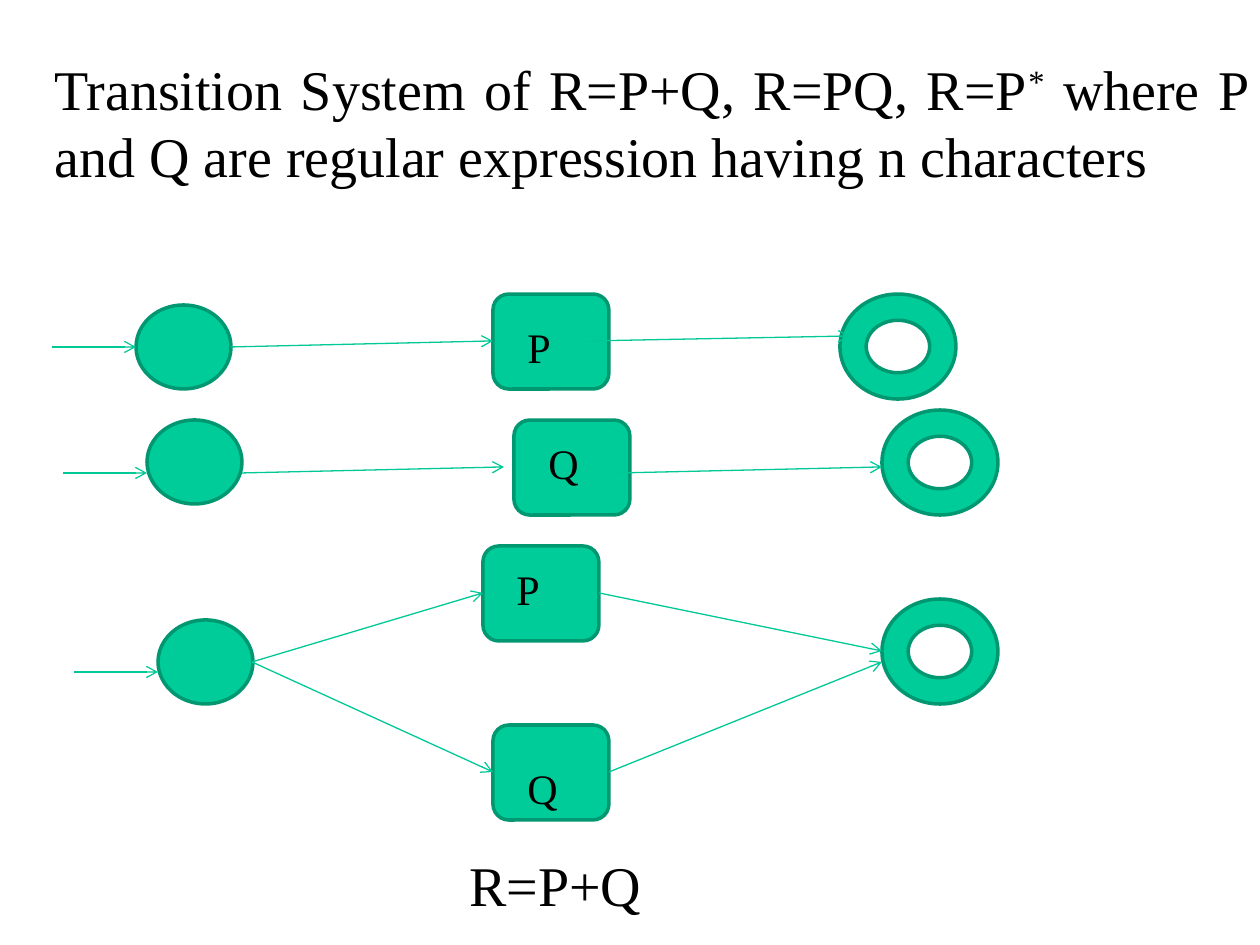
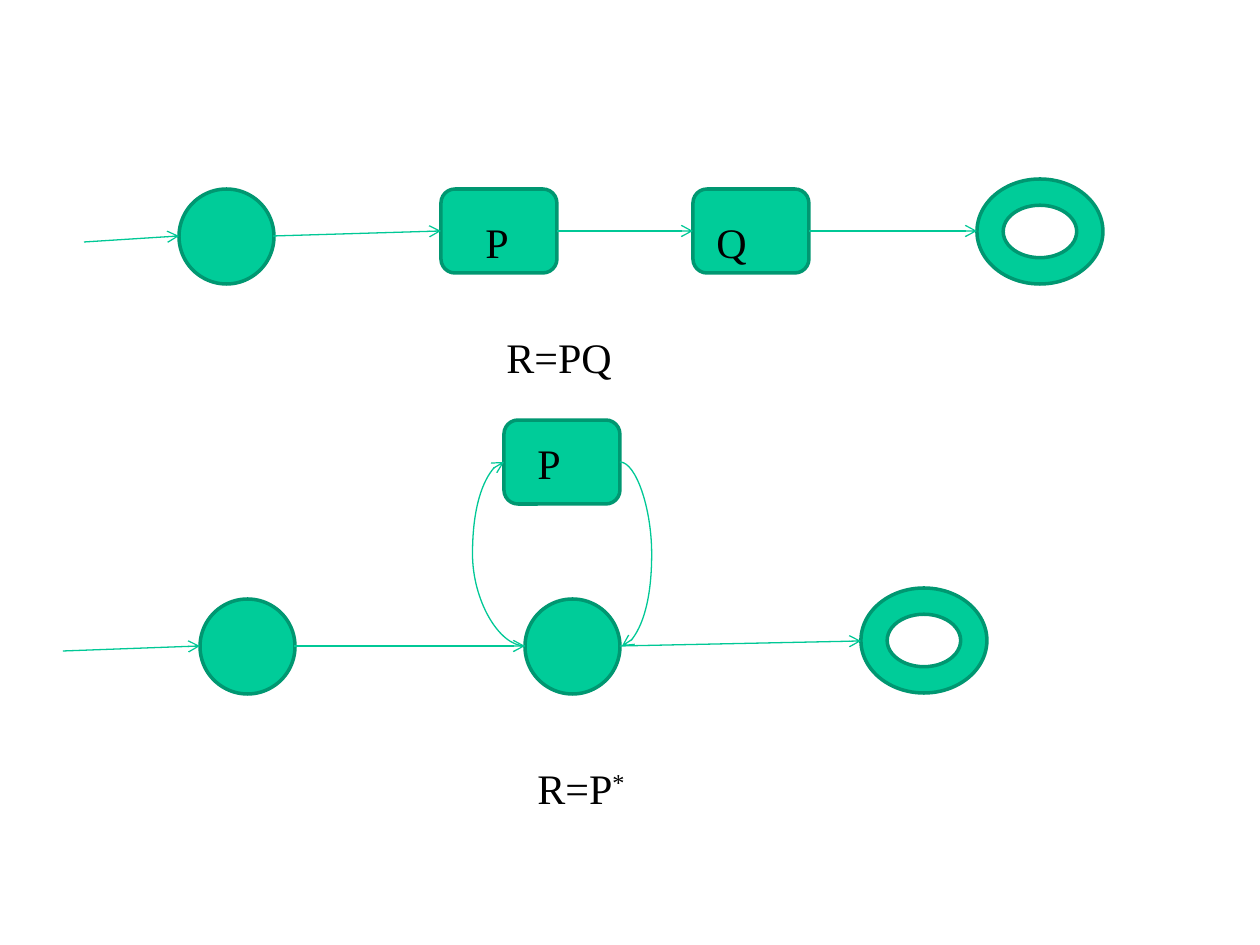
"""Builds two slides on transition systems of regular expressions."""
import pptx
import pptx.util
import pptx.dml.color
import pptx.enum.shapes
import pptx.enum.text
import pptx.oxml.ns
import lxml.etree

PX = 914400 // 126
FONT = "Times New Roman"
COLORS = {"state": "00CC99", "outline": "009771", "arrow": "00C896", "text": "000000"}
SHAPES = pptx.enum.shapes.MSO_SHAPE
CONNECTORS = pptx.enum.shapes.MSO_CONNECTOR
ANCHORS = pptx.enum.text.MSO_ANCHOR
qn = pptx.oxml.ns.qn


def add_text(slide, box, pieces, size=24, wrap=True):
    frame = slide.shapes.add_textbox(*[v * PX for v in box]).text_frame
    frame.word_wrap = wrap
    paragraph = frame.paragraphs[0]
    paragraph.font.name = FONT
    paragraph.font.size = pptx.util.Pt(size)
    paragraph.font.color.rgb = pptx.dml.color.RGBColor.from_string(COLORS["text"])
    for piece in pieces:
        run = paragraph.add_run()
        run.text = piece
        if piece == "*":
            run.font._element.set("baseline", "30000")
    return frame


def add_arrow(slide, ends, kind=CONNECTORS.STRAIGHT):
    arrow = slide.shapes.add_connector(kind, *[v * PX for v in ends])
    arrow.line.width = pptx.util.Pt(0.75)
    arrow.line.color.rgb = pptx.dml.color.RGBColor.from_string(COLORS["arrow"])
    line = arrow.line._get_or_add_ln()
    lxml.etree.SubElement(line, qn("a:tailEnd"), type="arrow")
    lxml.etree.SubElement(arrow._element.spPr, qn("a:effectLst"))
    return arrow


diagrams = [
    {
        "nodes": [
            (SHAPES.OVAL, (95, 84), [(136, 305), (147, 420), (158, 620)]),
            (SHAPES.ROUNDED_RECTANGLE, (116, 95), [(493, 294), (514, 420), (483, 546), (493, 725)]),
            (SHAPES.DONUT, (116, 105), [(840, 294), (882, 410), (882, 599)]),
        ],
        "arrows": [
            (52, 347, 136, 347), (231, 347, 493, 341), (588, 341, 850, 336),
            (63, 473, 147, 473), (242, 473, 504, 467), (620, 473, 882, 467),
            (74, 672, 158, 672), (252, 662, 483, 593), (252, 662, 493, 772),
            (599, 593, 882, 651), (609, 772, 882, 662),
        ],
        "labels": [("P", 515, 315), ("Q", 536, 431), ("P", 504, 557), ("Q", 515, 756)],
    },
    {
        "nodes": [
            (SHAPES.OVAL, (95, 95), [(179, 189), (200, 599), (525, 599)]),
            (SHAPES.ROUNDED_RECTANGLE, (116, 84), [(441, 189), (693, 189), (504, 420)]),
            (SHAPES.DONUT, (126, 105), [(977, 179), (861, 588)]),
        ],
        "arrows": [
            (84, 242, 179, 236), (273, 236, 441, 231), (557, 231, 693, 231), (809, 231, 977, 231),
            (63, 651, 200, 646), (294, 646, 525, 646), (620, 646, 861, 641),
        ],
        "labels": [("P", 473, 210), ("Q", 704, 210), ("P", 525, 431)],
    },
]

deck = pptx.Presentation()
deck.slide_width = 1260 * PX
deck.slide_height = 945 * PX

for diagram in diagrams:
    slide = deck.slides.add_slide(deck.slide_layouts[6])
    for preset, size, corners in diagram["nodes"]:
        for corner in corners:
            node = slide.shapes.add_shape(preset, *[v * PX for v in corner + size])
            node.shadow.inherit = False
            node.fill.solid()
            node.fill.fore_color.rgb = pptx.dml.color.RGBColor.from_string(COLORS["state"])
            node.line.color.rgb = pptx.dml.color.RGBColor.from_string(COLORS["outline"])
            node.line.width = pptx.util.Pt(2)
    for ends in diagram["arrows"]:
        add_arrow(slide, ends)
    for letter, left, top in diagram["labels"]:
        add_text(slide, (left, top, 74, 63), [letter])

union_slide, product_slide = deck.slides

heading = add_text(
    union_slide, (42, 32, 1218, 179),
    ["Transition System of R=P+Q, R=PQ, R=P", "*",
     " where P and Q are regular expression having n characters"], 32)
heading.vertical_anchor = ANCHORS.MIDDLE
heading.paragraphs[0].alignment = pptx.enum.text.PP_ALIGN.JUSTIFY
add_text(union_slide, (457, 844, 260, 76), ["R=P+Q"], 32)

for ends, bulge in [((525, 646, 504, 462), 250000), ((620, 462, 622, 646), 1600000)]:
    loop = add_arrow(product_slide, ends, CONNECTORS.CURVE)
    guides = loop._element.spPr.find(qn("a:prstGeom")).get_or_add_avLst()
    lxml.etree.SubElement(guides, qn("a:gd"), name="adj1", fmla=f"val {bulge}")
add_text(product_slide, (494, 325, 132, 63), ["R=PQ"], wrap=False)
add_text(product_slide, (525, 756, 116, 63), ["R=P", "*"], wrap=False)

deck.save("out.pptx")
